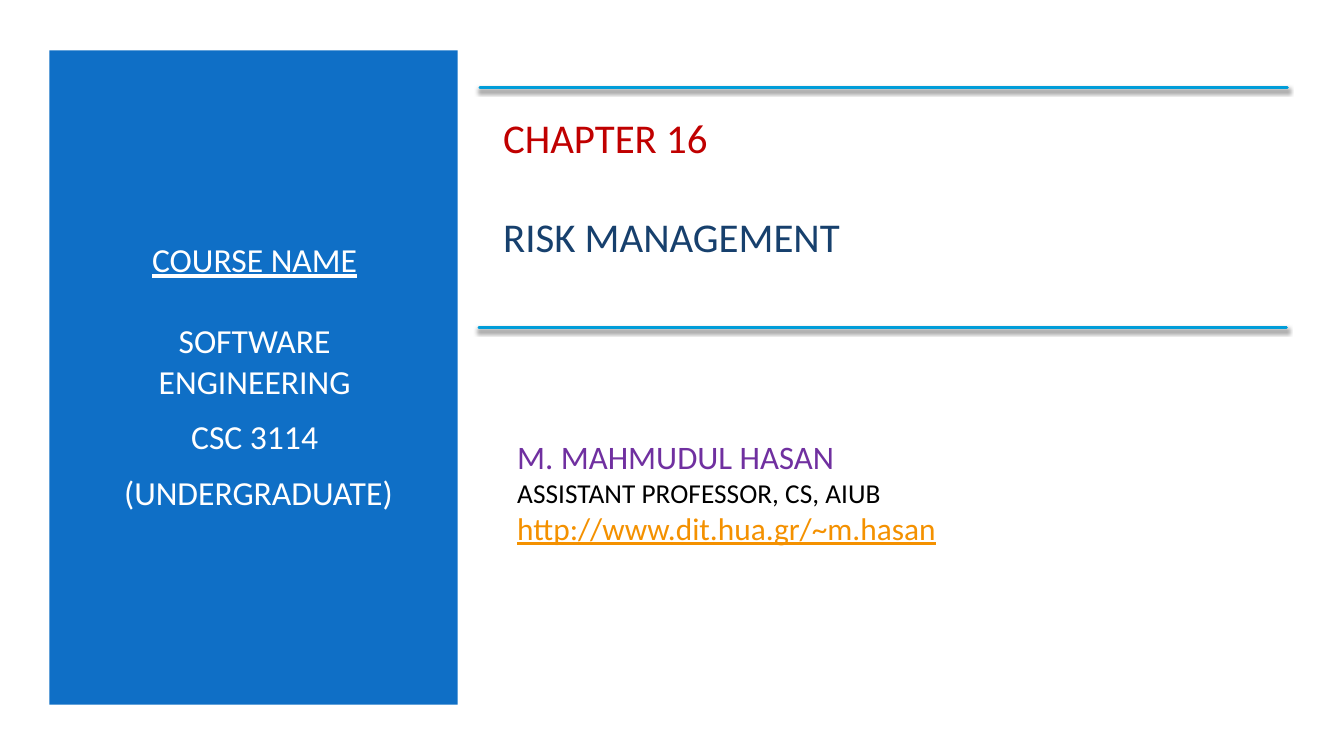
from lxml import etree
from pptx import Presentation
from pptx import util as u
from pptx.dml import color
from pptx.enum import shapes, text
from pptx.oxml import ns

PX = 9144
HUES = {
    "white": "FFFFFF", "blue": "0F6FC6", "cyan": "009DD9", "red": "C00000",
    "navy": "17406D", "purple": "7030A0", "black": "000000", "orange": "F49100",
}


def px(*vals):
    return [u.Emu(val * PX) for val in vals]


def rgb(hue):
    return color.RGBColor.from_string(HUES[hue])


def add_node(root, tag, **attrs):
    return etree.SubElement(root, ns.qn(tag), attrs)


def add_panel(slide, box, hue):
    panel = slide.shapes.add_shape(shapes.MSO_SHAPE.RECTANGLE, *px(*box))
    panel.shadow.inherit = False
    panel.fill.solid()
    panel.fill.fore_color.rgb = rgb(hue)
    panel.line.fill.background()
    tree = panel.element.getparent()
    tree.insert(2, panel.element)


def add_rule(slide, left, top, width):
    rule = slide.shapes.add_connector(
        shapes.MSO_CONNECTOR.STRAIGHT, *px(left, top, left + width, top))
    rule.line.color.rgb = rgb("cyan")
    rule.line.width = u.Pt(2)
    rule.line._get_or_add_ln().set("cap", "rnd")
    effect = add_node(rule.element.spPr, "a:effectLst")
    shadow = add_node(effect, "a:outerShdw", blurRad="38100", dist="25400",
                      dir="5400000", rotWithShape="0")
    shade = add_node(shadow, "a:srgbClr", val=HUES["black"])
    add_node(shade, "a:alpha", val="55000")


def fill_text(holder, box, lines, align):
    holder.left, holder.top, holder.width, holder.height = px(*box)
    frame = holder.text_frame
    frame.word_wrap = True
    frame.auto_size = text.MSO_AUTO_SIZE.NONE
    frame.vertical_anchor = text.MSO_ANCHOR.MIDDLE
    for at, (words, size, hue, under, gap) in enumerate(lines):
        para = frame.paragraphs[0] if at == 0 else frame.add_paragraph()
        props = para._p.get_or_add_pPr()
        props.set("marL", "0")
        props.set("indent", "0")
        add_node(props, "a:buNone")
        para.alignment = align
        para.line_spacing = 1.0
        para.space_before = u.Pt(gap)
        para.space_after = u.Pt(0)
        run = para.add_run()
        run.text = words
        run.font.name = "Calibri"
        run.font.size = u.Pt(size)
        run.font.color.rgb = rgb(hue)
        run.font.underline = under


def main():
    deck = Presentation()
    deck.slide_width, deck.slide_height = px(1333, 750)
    slide = deck.slides.add_slide(deck.slide_layouts[3])
    slide.background.fill.solid()
    slide.background.fill.fore_color.rgb = rgb("white")
    for spare in list(slide.placeholders):
        if spare.placeholder_format.idx > 2:
            spare.element.getparent().remove(spare.element)

    add_panel(slide, (49, 50, 405, 649), "blue")
    fill_text(slide.placeholders[1], (84, 110, 337, 525), [
        ("COURSE NAME", 24, "white", True, 0),
        ("SOFTWARE ENGINEERING", 24, "white", False, 29.3),
        ("CSC 3114", 24, "white", False, 10.8),
        (" (UNDERGRADUATE)", 24, "white", False, 10.8),
    ], text.PP_ALIGN.CENTER)
    fill_text(slide.shapes.title, (489, 110, 785, 151), [
        ("CHAPTER 16", 29.2, "red", False, 0),
        ("RISK MANAGEMENT", 29.2, "navy", False, 35.6),
    ], text.PP_ALIGN.LEFT)
    fill_text(slide.placeholders[2], (503, 410, 666, 156), [
        ("M. MAHMUDUL HASAN", 23.4, "purple", False, 0),
        ("ASSISTANT PROFESSOR, CS, AIUB", 19.5, "black", False, 0),
        ("http://www.dit.hua.gr/~m.hasan", 22.4, "orange", True, 0),
    ], text.PP_ALIGN.LEFT)
    for left, top in ((476, 87), (475, 325)):
        add_rule(slide, left, top, 801)

    deck.save("out.pptx")


if __name__ == "__main__":
    main()
